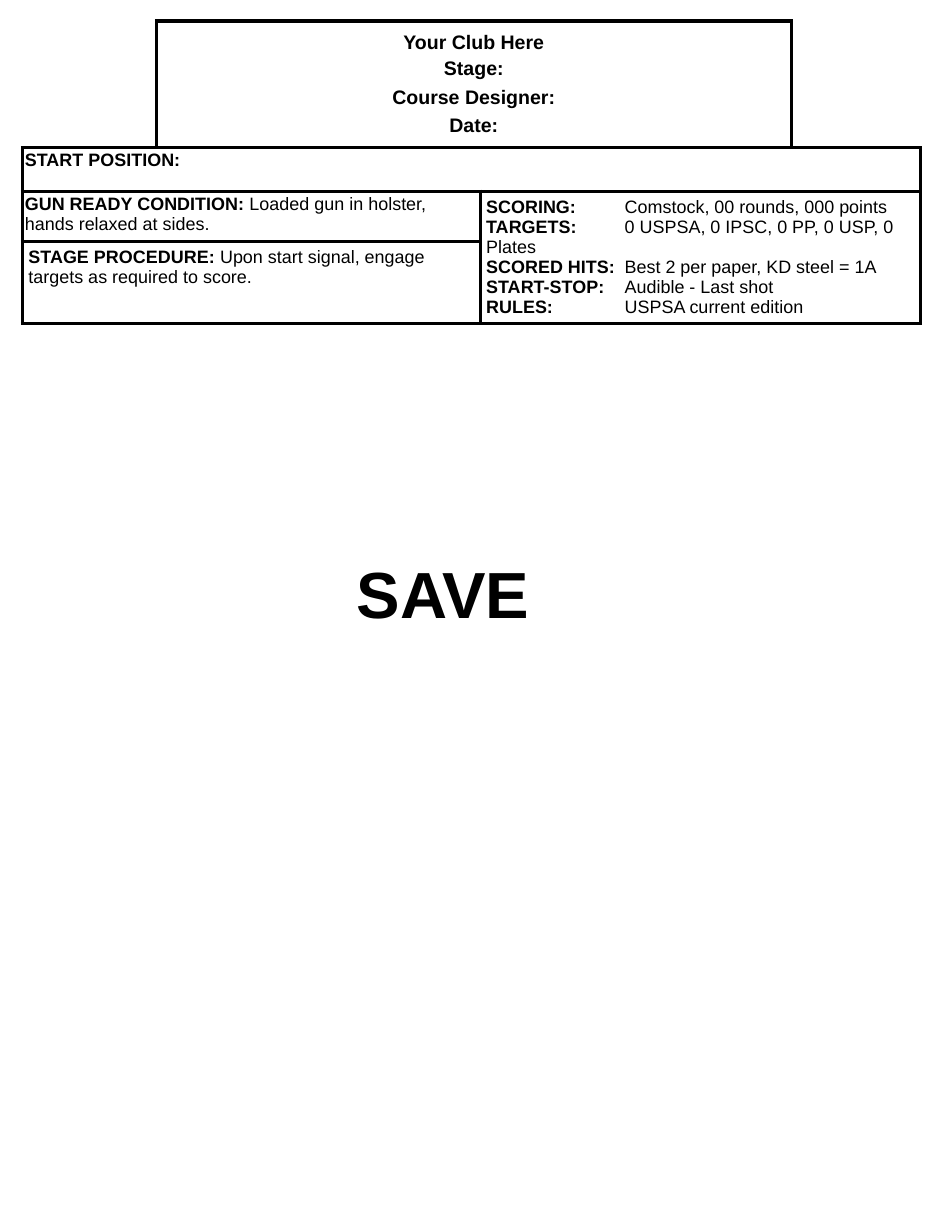
from lxml.etree import SubElement as Sub
from pptx import Presentation
from pptx.dml.color import RGBColor as RGB
from pptx.enum.text import MSO_ANCHOR as Anchor, MSO_AUTO_SIZE as Auto, PP_ALIGN as Align
from pptx.oxml.ns import qn
from pptx.util import Inches, Pt

BLACK = RGB(0, 0, 0)
WHITE = RGB(255, 255, 255)
FONT = "Arial"
RULE = Pt(2.25)
TAB = Inches(1.18)

# Shares of the slide's size, in percent
COLS = [14.25, 34.5, 33.13, 13.75]
ROWS = [10.29, 3.52, 4.1, 6.67]

HEAD = [("Your Club Here", ""), ("Stage:", ""), ("Course Designer:", ""), ("Date:", "")]
START = [("START POSITION:", "")]
READY = [("GUN READY CONDITION: ", "Loaded gun in holster, hands relaxed at sides.")]
STEPS = [("STAGE PROCEDURE: ", "Upon start signal, engage targets as required to score.")]
SCORE = [
    ("SCORING:", "\tComstock, 00 rounds, 000 points"),
    ("TARGETS:", "\t0 USPSA, 0 IPSC, 0 PP, 0 USP, 0 Plates"),
    ("SCORED HITS:", "\tBest 2 per paper, KD steel = 1A"),
    ("START-STOP:", "\tAudible - Last shot"),
    ("RULES:", "\tUSPSA current edition"),
]


class Sheet:
    def __init__(self, deck):
        self.wide, self.high = deck.slide_width, deck.slide_height
        self.slide = deck.slides.add_slide(deck.slide_layouts[6])

    def x(self, share):
        return round(self.wide * share / 100)

    def y(self, share):
        return round(self.high * share / 100)

    def put(self, frame, lines, size, align=Align.LEFT, gaps=()):
        """Fill a frame with (bold label, plain value) lines; gaps are points before each."""
        for i, pair in enumerate(lines):
            para = frame.add_paragraph() if i else frame.paragraphs[0]
            para.alignment = align
            if i and gaps:
                para.space_before = Pt(gaps[i])
            if pair[1].startswith("\t"):
                tabs = Sub(para._p.get_or_add_pPr(), qn("a:tabLst"))
                Sub(tabs, qn("a:tab"), pos=str(TAB), algn="l")
            for text, bold in zip(pair, (True, False)):
                if text:
                    run = para.add_run()
                    run.text = text
                    font = run.font
                    font.name, font.size, font.bold = FONT, Pt(size), bold
                    font.color.rgb = BLACK

    def edge(self, cell, sides):
        """Rule the named sides of a cell and clear the others."""
        props = cell._tc.get_or_add_tcPr()
        for side in "LRTB":
            line = Sub(props, qn("a:ln" + side), w=str(RULE))
            if side in sides:
                fill = Sub(line, qn("a:solidFill"))
                Sub(fill, qn("a:srgbClr"), val=str(BLACK))
            else:
                Sub(line, qn("a:noFill"))

    def grid(self, left, top, cols, rows):
        shape = self.slide.shapes.add_table(
            len(rows), len(cols), self.x(left), self.y(top), self.x(sum(cols)), self.y(sum(rows)))
        table = shape.table
        table.first_row = table.horz_banding = False
        for col, share in zip(table.columns, cols):
            col.width = self.x(share)
        for row, share in zip(table.rows, rows):
            row.height = self.y(share)
        corners = {(0, 0): "RB", (0, len(cols) - 1): "LB"}
        for r in range(len(rows)):
            for c in range(len(cols)):
                cell = table.cell(r, c)
                self.edge(cell, corners.get((r, c), "LRTB"))
                cell.fill.solid()
                cell.fill.fore_color.rgb = WHITE
        return table

    def cell(self, table, first, last, lines, size=11, pad=(0.05, 0.05), **style):
        """Merge first to last (row, column) and set the lines in the result."""
        cell = table.cell(*first)
        cell.merge(table.cell(*last))
        cell.margin_left = cell.margin_right = Inches(pad[0])
        cell.margin_top = cell.margin_bottom = Inches(pad[1])
        self.put(cell.text_frame, lines, size, **style)
        return cell

    def text(self, left, top, wide, high, words, size):
        box = self.slide.shapes.add_textbox(
            self.x(left), self.y(top), self.x(wide), self.y(high))
        frame = box.text_frame
        frame.word_wrap = False
        frame.auto_size = Auto.SHAPE_TO_FIT_TEXT
        self.put(frame, [(words, "")], size, Align.CENTER)


def main():
    deck = Presentation()
    deck.slide_width, deck.slide_height = Inches(8), Inches(10.5)
    sheet = Sheet(deck)
    table = sheet.grid(2.4, 1.71, COLS, ROWS)
    head = sheet.cell(table, (0, 1), (0, 2), HEAD, 12,
                      align=Align.CENTER, gaps=(0, 2.4, 4.2, 4.2))
    head.vertical_anchor = Anchor.MIDDLE
    start = sheet.cell(table, (1, 0), (1, 3), START, pad=(0.02, 0.04))
    start.text_frame.paragraphs[0].line_spacing = 0.9
    sheet.cell(table, (2, 0), (2, 1), READY, pad=(0.02, 0.03))
    sheet.cell(table, (2, 2), (3, 3), SCORE)
    sheet.cell(table, (3, 0), (3, 1), STEPS)
    sheet.text(36.63, 44.48, 21.12, 7.33, "SAVE", 40)
    deck.save("out.pptx")


if __name__ == "__main__":
    main()
